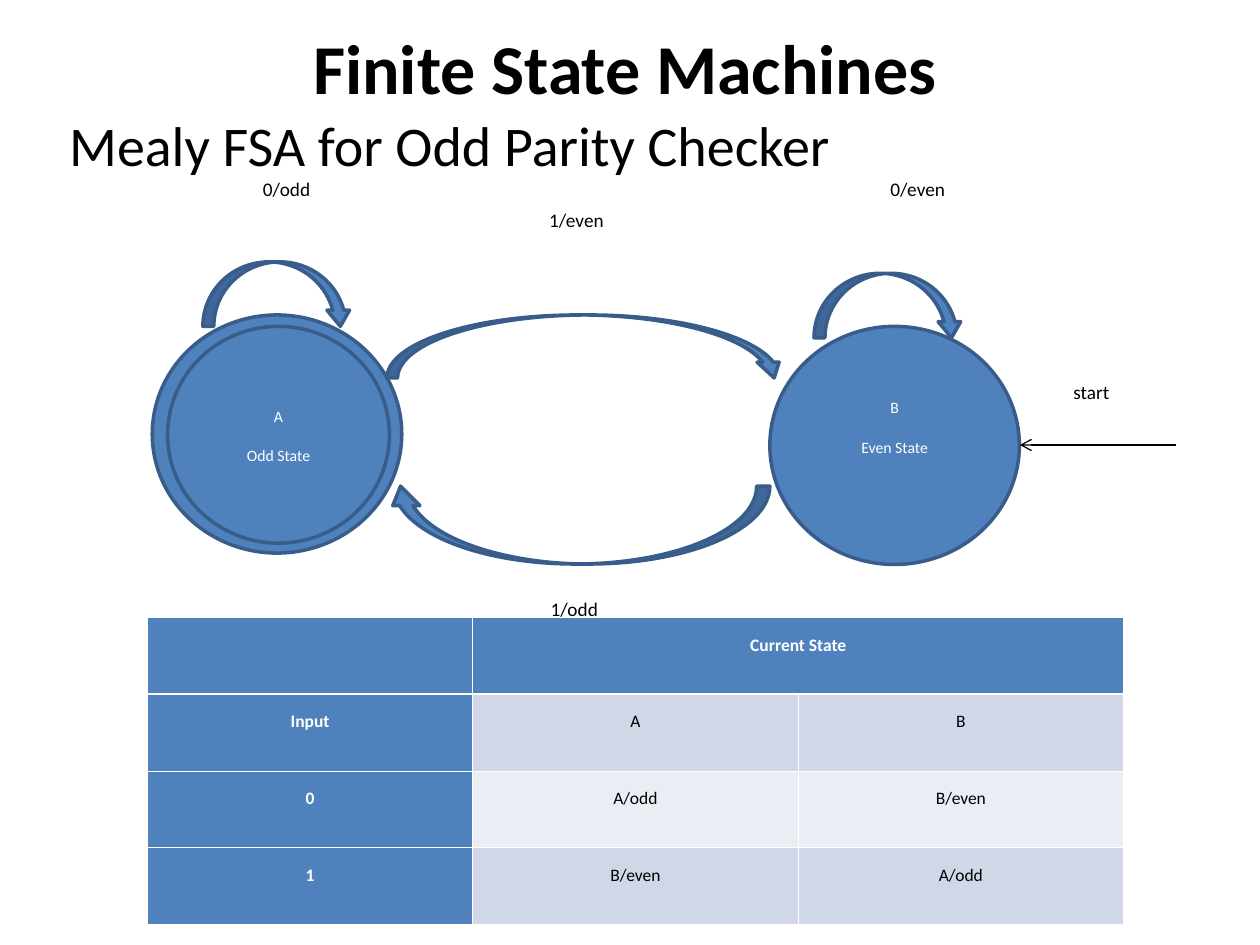
from lxml.etree import SubElement
from pptx import Presentation
from pptx.dml.color import RGBColor
from pptx.enum.shapes import MSO_CONNECTOR, MSO_SHAPE
from pptx.enum.text import MSO_ANCHOR, PP_ALIGN
from pptx.oxml.ns import qn
from pptx.util import Cm, Pt

BLUE, DARK_BLUE, WHITE, BLACK = "4F81BD", "385D8A", "FFFFFF", "000000"


def color(hex_string):
    return RGBColor.from_string(hex_string)


def format_text(text_frame, size, hex_string, bold=False, align=PP_ALIGN.LEFT,
                line_spacing=1.0, space_after=0):
    """Give every paragraph and run of a text frame the same look."""
    text_frame.word_wrap = True
    for paragraph in text_frame.paragraphs:
        paragraph.alignment = align
        paragraph.line_spacing = line_spacing
        paragraph.space_before = Pt(0)
        paragraph.space_after = Pt(space_after)
        for run in paragraph.runs:
            run.font.name = "Calibri"
            run.font.size = Pt(size)
            run.font.bold = bold
            run.font.color.rgb = color(hex_string)


presentation = Presentation()
presentation.slide_width, presentation.slide_height = Cm(25.4), Cm(19.05)
slide = presentation.slides.add_slide(presentation.slide_layouts[0])
shapes = slide.shapes

# Title and subtitle
title, subtitle = shapes.title, slide.placeholders[1]
title.left, title.top, title.width, title.height = Cm(0), Cm(0.36), Cm(25.2), Cm(3.66)
title.text_frame.text = "Finite State Machines"
title.text_frame.vertical_anchor = MSO_ANCHOR.TOP
format_text(title.text_frame, 40, BLACK, bold=True, align=PP_ALIGN.CENTER)

subtitle.left, subtitle.top, subtitle.width, subtitle.height = (
    Cm(1.14), Cm(2.11), Cm(23.29), Cm(15.04))
subtitle.text_frame.text = "Mealy FSA for Odd Parity Checker"
format_text(subtitle.text_frame, 32, BLACK)

# States: left, top, width, height, text, bottom inset
states = [
    (3.07, 6.35, 5.03, 4.8, "", 0.13),
    (3.38, 6.58, 4.47, 4.37, "A\nOdd State", 0.13),
    (15.52, 6.58, 5.03, 4.8, "B\nEven State", 0.92),
]
for left, top, width, height, text, bottom_inset in states:
    state = shapes.add_shape(MSO_SHAPE.OVAL, Cm(left), Cm(top), Cm(width), Cm(height))
    state.shadow.inherit = False
    state.fill.solid()
    state.fill.fore_color.rgb = color(BLUE)
    state.line.color.rgb = color(DARK_BLUE)
    state.line.width = Pt(2)
    if text:
        state.text_frame.text = text
        state.text_frame.margin_bottom = Cm(bottom_inset)
        state.text_frame.vertical_anchor = MSO_ANCHOR.MIDDLE
        format_text(state.text_frame, 9, WHITE, align=PP_ALIGN.CENTER,
                    line_spacing=1.15, space_after=10)

# Transitions: left, top, width, height, rotation
transitions = [
    (4.09, 5.28, 3.0, 1.3, 0),
    (16.41, 5.51, 3.0, 1.3, 0),
    (7.8, 6.35, 8.03, 1.27, 0),
    (7.8, 9.8, 7.72, 1.57, 180),
]
for left, top, width, height, rotation in transitions:
    arrow = shapes.add_shape(MSO_SHAPE.CURVED_DOWN_ARROW,
                             Cm(left), Cm(top), Cm(width), Cm(height))
    arrow.rotation = rotation
    for index, value in enumerate((0.17, 0.35, 0.25)):
        arrow.adjustments[index] = value
    arrow.shadow.inherit = False
    arrow.fill.solid()
    arrow.fill.fore_color.rgb = color(BLUE)
    arrow.line.color.rgb = color(DARK_BLUE)
    arrow.line.width = Pt(2)

# Labels: text, left, top, width
labels = [
    ("1/even", 10.82, 4.01, 2.79),
    ("1/odd", 10.85, 11.84, 2.79),
    ("start", 21.39, 7.47, 2.01),
    ("0/even", 17.7, 3.38, 3.23),
    ("0/odd", 5.05, 3.38, 2.29),
]
for text, left, top, width in labels:
    label = shapes.add_textbox(Cm(left), Cm(top), Cm(width), Cm(1.5))
    label.fill.solid()
    label.fill.fore_color.rgb = color(WHITE)
    label.text_frame.text = text
    format_text(label.text_frame, 11, BLACK, line_spacing=1.15, space_after=10)

# Start arrow
start_arrow = shapes.add_connector(MSO_CONNECTOR.STRAIGHT,
                                   Cm(23.7), Cm(8.97), Cm(20.56), Cm(8.97))
start_arrow.line.color.rgb = color(BLACK)
start_arrow.line.width = Pt(0.75)
SubElement(start_arrow.line._get_or_add_ln(), qn("a:tailEnd"), type="arrow")
SubElement(start_arrow._element.spPr, qn("a:effectLst"))

# Transition table
rows = [
    ("", "Current State", ""),
    ("Input", "A", "B"),
    ("0", "A/odd", "B/even"),
    ("1", "B/even", "A/odd"),
]
table = shapes.add_table(4, 3, Cm(2.97), Cm(12.45), Cm(19.68), Cm(6.18)).table
table.cell(0, 1).merge(table.cell(0, 2))
for row_index, row in enumerate(rows):
    for column_index, text in enumerate(row):
        cell = table.cell(row_index, column_index)
        header = row_index == 0 or column_index == 0
        band = "E9EDF4" if row_index == 2 else "D0D8E8"
        cell.margin_left = cell.margin_right = Cm(0.2)
        if text:
            cell.text_frame.text = text
            format_text(cell.text_frame, 10, WHITE if header else BLACK, bold=header,
                        align=PP_ALIGN.CENTER, line_spacing=1.5)
        properties = cell._tc.get_or_add_tcPr()
        for side in ("lnL", "lnR", "lnT", "lnB"):
            below_header = (row_index, side) in ((0, "lnB"), (1, "lnT"))
            border = SubElement(properties, qn(f"a:{side}"),
                                w=str(Pt(1.47 if below_header else 0.45)))
            SubElement(SubElement(border, qn("a:solidFill")), qn("a:srgbClr"), val=WHITE)
        cell.fill.solid()
        cell.fill.fore_color.rgb = color(BLUE if header else band)

presentation.save("out.pptx")
